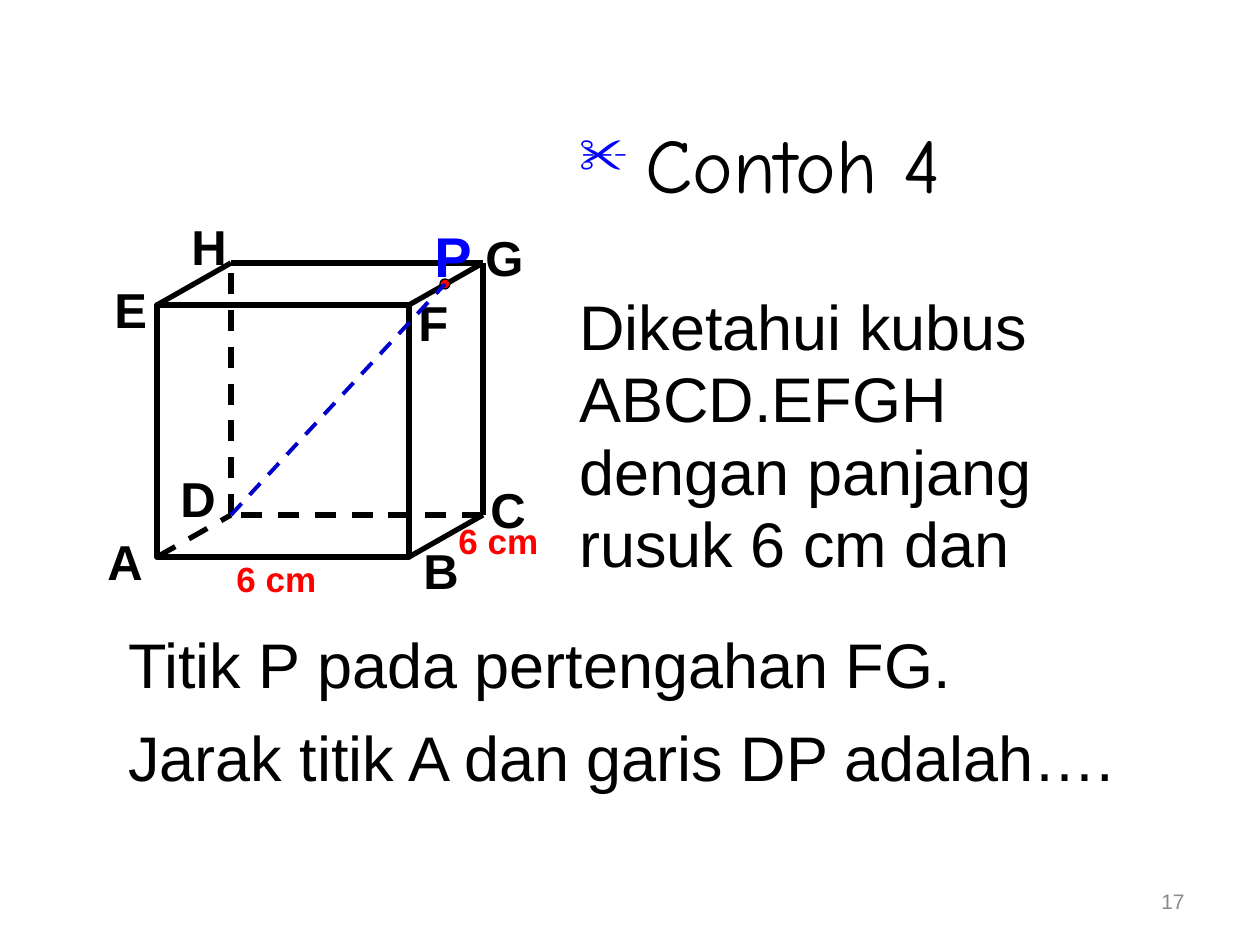
from typing import NamedTuple

from lxml import etree
from pptx import Presentation
from pptx import util as u
from pptx.dml.color import RGBColor
from pptx.enum import dml, shapes, text
from pptx.oxml import ns

SCALE = 914400 / 126  # EMU in one px


class Theme(NamedTuple):
    font: str = "Arial"
    title_font: str = "Comic Neue"
    black: str = "000000"
    blue: str = "0000FF"
    dark_blue: str = "0000CC"
    red: str = "FF0000"
    grey: str = "898989"
    title: int = 44
    body: int = 36
    point: int = 32
    vertex: int = 28
    length: int = 20
    footer: int = 12


class Line(NamedTuple):
    words: str
    space_before: int = 0


class Style(NamedTuple):
    size: int
    color: str
    bold: bool = False
    align: text.PP_ALIGN = text.PP_ALIGN.LEFT
    spacing: float = 1.0


class Vertex(NamedTuple):
    x: int
    y: int
    label_x: int
    label_y: int


class Edge(NamedTuple):
    ends: str
    hidden: bool = False


THEME = Theme()
SIDE, DEEP_X, DEEP_Y = 252, 74, -42
LEFT, TOP = 157, 305
RIGHT, BOTTOM = LEFT + SIDE, TOP + SIDE

CUBE = {
    "A": Vertex(LEFT, BOTTOM, 95, 525),
    "B": Vertex(RIGHT, BOTTOM, 411, 534),
    "C": Vertex(RIGHT + DEEP_X, BOTTOM + DEEP_Y, 478, 473),
    "D": Vertex(LEFT + DEEP_X, BOTTOM + DEEP_Y, 168, 462),
    "H": Vertex(LEFT + DEEP_X, TOP + DEEP_Y, 179, 210),
    "E": Vertex(LEFT, TOP, 102, 273),
    "F": Vertex(RIGHT, TOP, 406, 286),
    "G": Vertex(RIGHT + DEEP_X, TOP + DEEP_Y, 473, 221),
}
EDGES = [
    Edge("EH"), Edge("FG"), Edge("AD", True), Edge("BC"),
    Edge("DH", True), Edge("CD", True), Edge("CG"), Edge("GH"),
]


def px(value: float) -> u.Emu:
    return u.Emu(round(value * SCALE))


def rgb(color: str) -> RGBColor:
    return RGBColor.from_string(color)


def add_text(parent, x: int, y: int, width: int, height: int,
             lines: list[Line], style: Style):
    box = parent.add_textbox(px(x), px(y), px(width), px(height))
    frame = box.text_frame
    frame.word_wrap = True
    for index, line in enumerate(lines):
        para = frame.add_paragraph() if index else frame.paragraphs[0]
        para.text = line.words
        para.alignment = style.align
        para.line_spacing = style.spacing
        if line.space_before:
            para.space_before = u.Pt(line.space_before)
        font = para.font
        font.name, font.size, font.bold = THEME.font, u.Pt(style.size), style.bold
        font.color.rgb = rgb(style.color)
    return box


def add_line(parent, start: tuple[int, int], end: tuple[int, int],
             color: str, width: float, dashed: bool) -> None:
    line = parent.add_connector(shapes.MSO_CONNECTOR.STRAIGHT, *map(px, start + end))
    line.line.color.rgb = rgb(color)
    line.line.width = u.Pt(width)
    if dashed:
        line.line.dash_style = dml.MSO_LINE.DASH
    etree.SubElement(line._element.spPr, ns.qn("a:effectLst"))


def add_bullet(para, symbol: str, color: str, percent: int, indent: int) -> None:
    properties = para._p.get_or_add_pPr()
    properties.set("marL", str(px(indent)))
    properties.set("indent", str(-px(indent)))
    bullet_color = etree.Element(ns.qn("a:buClr"))
    etree.SubElement(bullet_color, ns.qn("a:srgbClr"), val=color)
    bullet_size = etree.Element(ns.qn("a:buSzPct"), val=str(percent * 1000))
    bullet_symbol = etree.Element(ns.qn("a:buChar"), char=symbol)
    defaults = properties.find(ns.qn("a:defRPr"))
    for element in (bullet_color, bullet_size, bullet_symbol):
        defaults.addprevious(element)


def add_cube(page) -> None:
    cube = page.shapes.add_group_shape().shapes
    front = cube.add_shape(shapes.MSO_SHAPE.RECTANGLE,
                           px(LEFT), px(TOP), px(SIDE), px(SIDE))
    front.shadow.inherit = False
    front.fill.background()
    front.line.color.rgb = rgb(THEME.black)
    front.line.width = u.Pt(3)
    for edge in EDGES:
        start, end = (CUBE[name][:2] for name in edge.ends)
        add_line(cube, start, end, THEME.black, 3, edge.hidden)
    for name, vertex in CUBE.items():
        add_text(cube, vertex.label_x, vertex.label_y, 63, 72, [Line(name)],
                 Style(THEME.vertex, THEME.black, bold=True))


def add_problem(page) -> None:
    lines = [Line("Contoh 4"), Line("Diketahui kubus", 56), Line("ABCD.EFGH", 9),
             Line("dengan panjang", 9), Line("rusuk 6 cm dan", 9)]
    style = Style(THEME.body, THEME.black, align=text.PP_ALIGN.JUSTIFY, spacing=0.75)
    box = add_text(page.shapes, 567, 136, 588, 451, lines, style)
    heading = box.text_frame.paragraphs[0]
    heading.line_spacing = 0.7
    add_bullet(heading, "✂", THEME.blue, 65, 66)
    heading.font.name, heading.font.size = THEME.title_font, u.Pt(THEME.title)


def add_point(page) -> None:
    """Mark P, the middle of FG, and join it to D."""
    dot = page.shapes.add_shape(shapes.MSO_SHAPE.OVAL, px(440), px(279), px(10), px(10))
    dot.shadow.inherit = False
    dot.fill.solid()
    dot.fill.fore_color.rgb = rgb(THEME.red)
    dot.line.color.rgb = rgb(THEME.black)
    dot.line.width = u.Pt(0.75)
    add_text(page.shapes, 422, 215, 63, 81, [Line("P")],
             Style(THEME.point, THEME.blue, bold=True))
    add_line(page.shapes, CUBE["D"][:2], (445, 284), THEME.dark_blue, 2.25, True)


def main() -> None:
    deck = Presentation()
    deck.slide_width, deck.slide_height = px(1260), px(945)
    page = deck.slides.add_slide(deck.slide_layouts.get_by_name("Blank"))

    number = add_text(page.shapes, 903, 876, 294, 50, [Line("17")],
                      Style(THEME.footer, THEME.grey, align=text.PP_ALIGN.RIGHT))
    number.text_frame.vertical_anchor = text.MSO_ANCHOR.MIDDLE
    add_problem(page)
    add_cube(page)
    for x, y in ((224, 551), (446, 513)):
        add_text(page.shapes, x, y, 136, 55, [Line("6 cm")],
                 Style(THEME.length, THEME.red, bold=True))
    add_text(page.shapes, 116, 640, 1050, 159,
             [Line("Titik P pada pertengahan FG."),
              Line("Jarak titik A dan garis DP adalah….", 23)],
             Style(THEME.body, THEME.black, spacing=0.7))
    add_point(page)
    deck.save("out.pptx")


if __name__ == "__main__":
    main()
